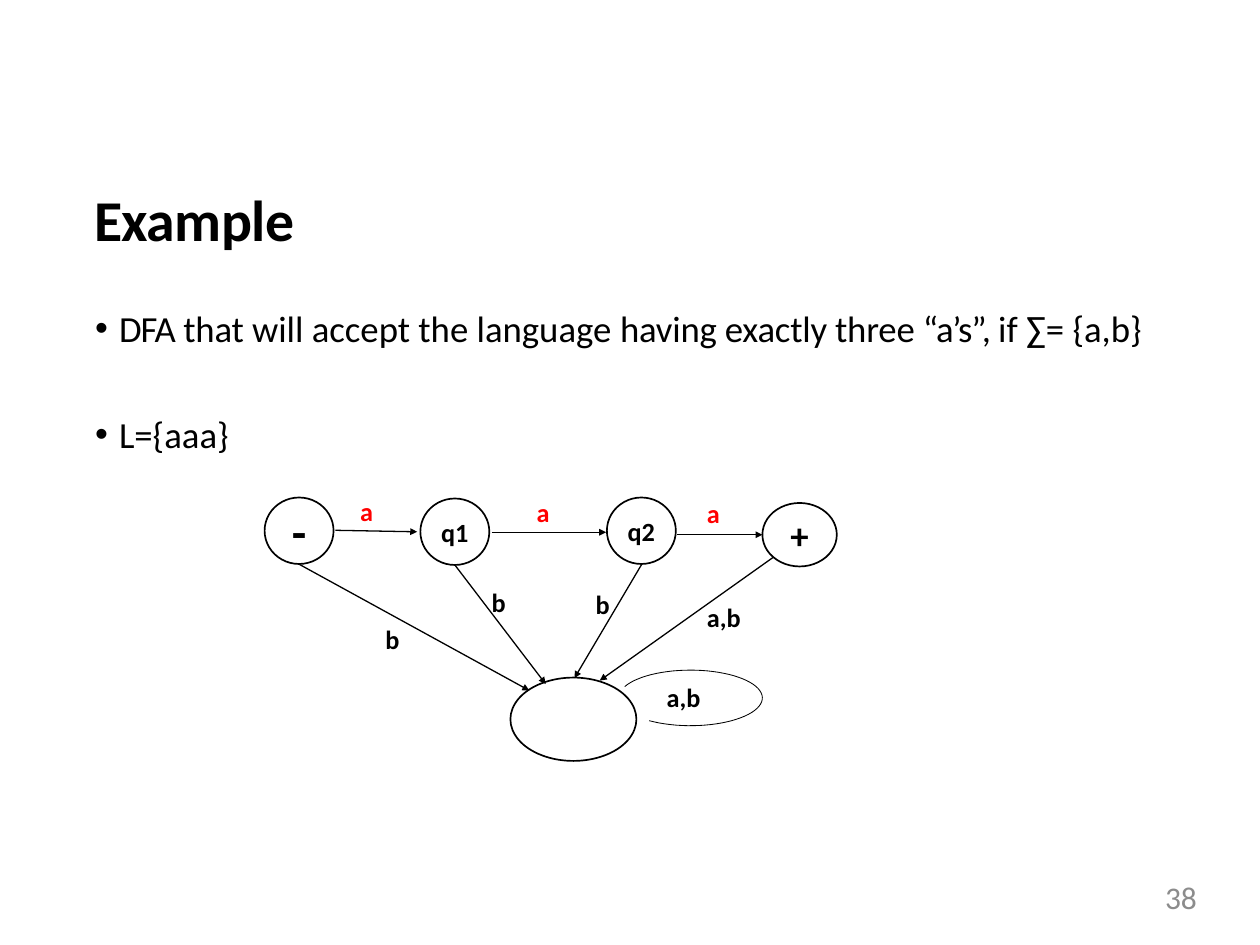
from dataclasses import dataclass
from math import cos, radians, sin

from lxml import etree
from pptx import Presentation
from pptx.dml.color import RGBColor
from pptx.enum.shapes import MSO_CONNECTOR, MSO_SHAPE
from pptx.enum.text import MSO_ANCHOR, MSO_AUTO_SIZE, PP_ALIGN
from pptx.oxml.ns import qn
from pptx.util import Cm, Pt

OVAL, STRAIGHT = MSO_SHAPE.OVAL, MSO_CONNECTOR.STRAIGHT
TOP, MIDDLE = MSO_ANCHOR.TOP, MSO_ANCHOR.MIDDLE
LEFT, CENTER, RIGHT = PP_ALIGN.LEFT, PP_ALIGN.CENTER, PP_ALIGN.RIGHT
NO_FIT = MSO_AUTO_SIZE.NONE


@dataclass(frozen=True)
class Theme:
    font: str = "Calibri"
    ink: RGBColor = RGBColor(0, 0, 0)
    accent: RGBColor = RGBColor(0xFF, 0, 0)
    muted: RGBColor = RGBColor(0x8C, 0x8C, 0x8C)
    title: float = 33
    body: float = 21
    label: float = 15
    start: float = 27
    number: float = 18
    outline: float = 0.96
    edge: float = 0.75
    loop: float = 0.48


T = Theme()


def set_frame(tf, anchor=TOP, top=0.05):
    values = {"margin_left": 0, "margin_right": 0, "margin_bottom": 0,
              "margin_top": Cm(top), "word_wrap": True,
              "vertical_anchor": anchor, "auto_size": NO_FIT}
    for name, value in values.items():
        setattr(tf, name, value)


def add_run(p, text, size, color=T.ink, bold=False, spacing=0):
    r = p.add_run()
    r.text = text
    for name, value in {"name": T.font, "size": Pt(size), "bold": bold}.items():
        setattr(r.font, name, value)
    r.font.color.rgb = color
    if spacing:
        r.font._element.set("spc", str(round(spacing * 100)))


def add_title(s, text):
    sp = s.shapes.title
    for name, value in {"left": 1.9, "top": 3.66, "width": 4.5, "height": 1.45}.items():
        setattr(sp, name, Cm(value))
    set_frame(sp.text_frame)
    p = sp.text_frame.paragraphs[0]
    p.alignment = LEFT
    add_run(p, text, T.title, bold=True, spacing=-0.3)


def add_text(s, box, text, size, color=T.ink, bold=True, align=LEFT, top=0.05):
    sp = s.shapes.add_textbox(*map(Cm, box))
    set_frame(sp.text_frame, top=top)
    p = sp.text_frame.paragraphs[0]
    p.alignment = align
    add_run(p, text, size, color, bold)


def add_bullets(s, box, items, gap):
    tf = s.shapes.add_textbox(*map(Cm, box)).text_frame
    set_frame(tf)
    for i, runs in enumerate(items):
        p = tf.add_paragraph() if i else tf.paragraphs[0]
        pPr = p._p.get_or_add_pPr()
        pPr.set("marL", str(Cm(0.5)))
        pPr.set("indent", str(-Cm(0.48)))
        if i:
            p.space_before = Pt(gap)
        etree.SubElement(pPr, qn("a:buFont"), typeface="Arial")
        etree.SubElement(pPr, qn("a:buChar"), char="•")
        for text, spacing in runs:
            add_run(p, text, T.body, spacing=spacing)


def set_outline(sp, width):
    sp.shadow.inherit = False
    sp.fill.background()
    sp.line.color.rgb = T.ink
    sp.line.width = Pt(width)


def add_state(s, cx, cy, w, h, text="", size=T.label):
    sp = s.shapes.add_shape(OVAL, *map(Cm, (cx - w / 2, cy - h / 2, w, h)))
    set_outline(sp, T.outline)
    if text:
        set_frame(sp.text_frame, MIDDLE, 0)
        p = sp.text_frame.paragraphs[0]
        p.alignment = CENTER
        add_run(p, text, size, bold=True)


def add_arrow(s, x1, y1, x2, y2):
    c = s.shapes.add_connector(STRAIGHT, *map(Cm, (x1, y1, x2, y2)))
    c.line.color.rgb = T.ink
    c.line.width = Pt(T.edge)
    etree.SubElement(c.line._get_or_add_ln(), qn("a:tailEnd"),
                     type="triangle", w="sm", len="sm")
    etree.SubElement(c._element.spPr, qn("a:effectLst"))


def add_loop(s, cx, cy, rx, ry, start, end, steps=60):
    angles = [radians(start + (end - start) * i / steps) for i in range(steps + 1)]
    points = [(Cm(cx + rx * cos(a)), Cm(cy + ry * sin(a))) for a in angles]
    fb = s.shapes.build_freeform(*points[0])
    fb.add_line_segments(points[1:], close=False)
    set_outline(fb.convert_to_shape(), T.loop)


def main():
    prs = Presentation()
    prs.slide_width, prs.slide_height = Cm(25.4), Cm(19.05)
    s = prs.slides.add_slide(prs.slide_layouts[5])

    add_title(s, "Example")
    add_bullets(s, (1.9, 6.12, 21.44, 3.05), [
        [("DFA ", -0.5), ("that ", -0.1), ("will accept the language ", 0),
         ("having exactly three ", -0.1), ("“a’s”, ", -0.7), ("if ∑= {a,b}", 0)],
        [("L={aaa}", 0)],
    ], gap=35)

    for state in [
        (6.03, 10.7, 1.39, 1.34, "-", T.start),
        (9.17, 10.72, 1.39, 1.34, "q1"),
        (12.93, 10.7, 1.39, 1.34, "q2"),
        (16.12, 10.78, 1.5, 1.28, "+", T.body),
        (11.56, 14.5, 2.54, 1.68),
    ]:
        add_state(s, *state)

    for edge in [
        (6.76, 10.69, 8.41, 10.72),
        (9.91, 10.73, 12.22, 10.73),
        (13.64, 10.78, 15.37, 10.78),
        (6.02, 11.37, 10.67, 13.92),
        (9.17, 11.39, 11, 13.79),
        (12.94, 11.37, 11.58, 13.67),
        (15.58, 11.24, 12.09, 13.72),
    ]:
        add_arrow(s, *edge)
    add_loop(s, 13.92, 14.07, 1.45, 0.56, 204, 485)

    for x, y, text, color in [
        (7.26, 9.93, "a", T.accent),
        (10.82, 9.96, "a", T.accent),
        (14.25, 9.98, "a", T.accent),
        (7.77, 12.52, "b", T.ink),
        (9.91, 11.76, "b", T.ink),
        (12.01, 11.81, "b", T.ink),
        (14.25, 12.07, "a,b", T.ink),
        (13.44, 13.69, "a,b", T.ink),
    ]:
        width = 0.33 if len(text) == 1 else 0.8
        add_text(s, (x, y, width, 0.66), text, T.label, color)

    add_text(s, (18.29, 17.7, 5.84, 0.76), "38", T.number, T.muted,
             bold=False, align=RIGHT, top=0)
    prs.save("out.pptx")


if __name__ == "__main__":
    main()
